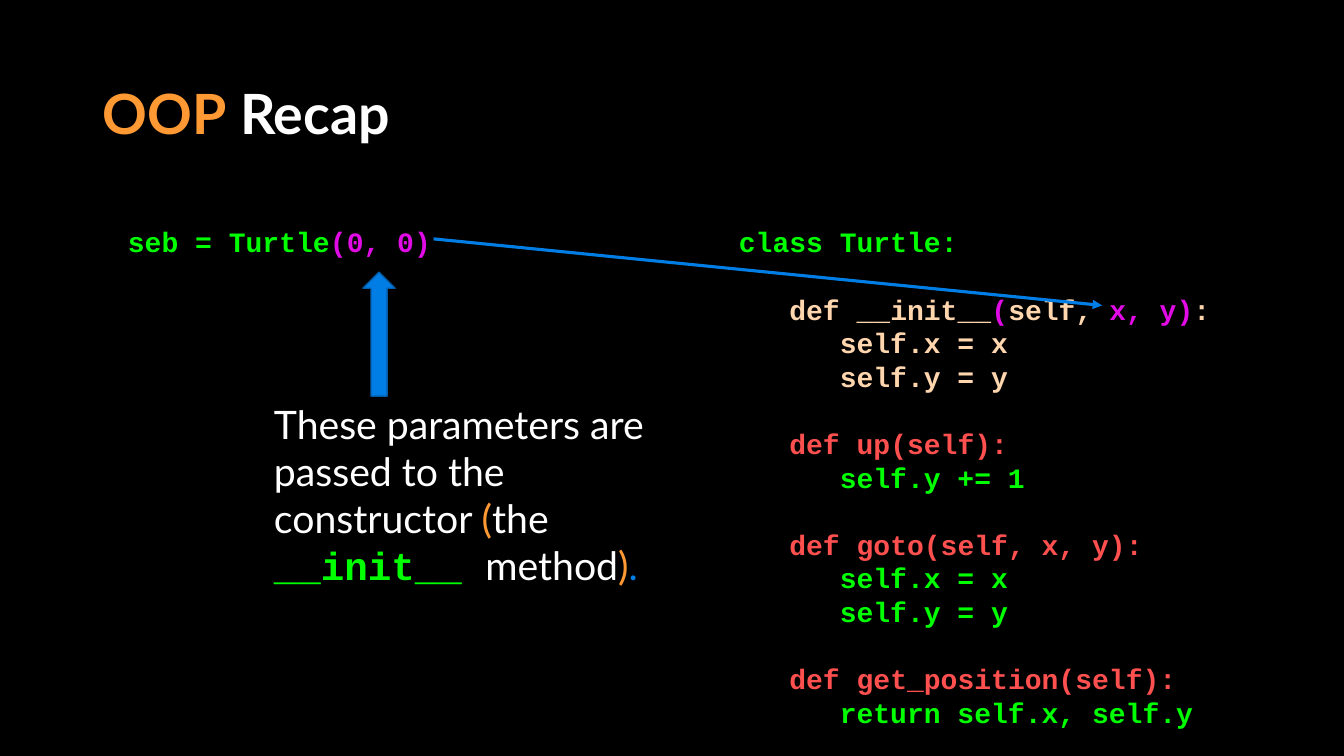
"""Build the OOP recap slide: a constructor call linked to its class definition."""
from dataclasses import dataclass
from typing import Optional

from lxml import etree
from pptx import Presentation, util as u
from pptx.dml.color import RGBColor
from pptx.enum import shapes, text
from pptx.oxml import ns

WIDTH, HEIGHT = u.Inches(13.33), u.Inches(7.5)
BLACK = RGBColor(0x00, 0x00, 0x00)
WHITE = RGBColor(0xFF, 0xFF, 0xFF)
ORANGE = RGBColor(0xFF, 0x99, 0x33)
GREEN = RGBColor(0x00, 0xFF, 0x00)
MAGENTA = RGBColor(0xE0, 0x0B, 0xE5)
PEACH = RGBColor(0xFF, 0xD6, 0xAD)
RED = RGBColor(0xFF, 0x50, 0x50)
BLUE = RGBColor(0x01, 0x7E, 0xE5)
DARK_BLUE = RGBColor(0x01, 0x5D, 0xA9)
PROSE, CODE = "Lato", "Courier New"
CODE_LINE = u.Pt(24)
INDENT = u.Inches(0.5)


@dataclass
class Span:
    """A stretch of text in one colour, with an optional font of its own."""
    words: str
    color: RGBColor
    font: Optional[str] = None
    bold: Optional[bool] = None


@dataclass
class Line:
    """A paragraph with its indent level and the blank lines above it."""
    spans: list[Span]
    level: int = 0
    gap: int = 0


@dataclass
class Block:
    """A text box, placed in percent of the slide's size."""
    left: float
    top: float
    width: float
    height: float
    lines: list[Line]
    size: float
    font: str = PROSE
    bold: bool = False
    spacing: float | u.Length = 1.0
    inset: float = 0.05
    anchor: text.MSO_ANCHOR = text.MSO_ANCHOR.TOP


def across(percent: float) -> u.Emu:
    """Turn a percentage of the slide's width into a length."""
    return u.Emu(round(WIDTH * percent / 100))


def down(percent: float) -> u.Emu:
    """Turn a percentage of the slide's height into a length."""
    return u.Emu(round(HEIGHT * percent / 100))


def add_block(page, block: Block) -> None:
    """Draw one text box."""
    box = page.shapes.add_textbox(across(block.left), down(block.top),
                                  across(block.width), down(block.height))
    frame = box.text_frame
    frame.word_wrap = True
    frame.vertical_anchor = block.anchor
    frame.margin_top = u.Inches(block.inset)
    for index, line in enumerate(block.lines):
        para = frame.add_paragraph() if index else frame.paragraphs[0]
        para.line_spacing = block.spacing
        para.space_before = CODE_LINE * line.gap
        para.font.size = u.Pt(block.size)
        para.font.name = block.font
        para.font.bold = block.bold
        if line.level:
            para._p.get_or_add_pPr().set("marL", str(INDENT * line.level))
        for span in line.spans:
            run = para.add_run()
            run.text = span.words
            run.font.color.rgb = span.color
            run.font.name = span.font
            run.font.bold = span.bold


def add_up_arrow(page) -> None:
    """Draw the block arrow from the explanation to the call."""
    arrow = page.shapes.add_shape(shapes.MSO_SHAPE.UP_ARROW, across(27), down(36),
                                  across(2.4), down(16.4))
    arrow.shadow.inherit = False
    arrow.fill.solid()
    arrow.fill.fore_color.rgb = BLUE
    arrow.line.color.rgb = DARK_BLUE
    arrow.line.width = u.Pt(1)


def add_link(page) -> None:
    """Draw the arrow from the arguments to the parameters."""
    link = page.shapes.add_connector(shapes.MSO_CONNECTOR.STRAIGHT, across(32.26),
                                     down(31.6), across(82), down(40.4))
    link.line.color.rgb = BLUE
    link.line.width = u.Pt(2.25)
    outline = link.line._get_or_add_ln()
    etree.SubElement(outline, ns.qn("a:tailEnd"), type="triangle")
    etree.SubElement(link._element.spPr, ns.qn("a:effectLst"))


def code(words: str, color: RGBColor, level: int = 0, gap: int = 0) -> Line:
    """Make a code line of a single colour."""
    return Line([Span(words, color)], level, gap)


TITLE = [Line([Span("OOP", ORANGE), Span(" Recap", WHITE)])]
CALL = [Line([Span("seb = Turtle", GREEN), Span("(0, 0)", MAGENTA)])]
CLASS = [
    code("class Turtle:", GREEN),
    Line([Span("def __init__", PEACH), Span("(", MAGENTA), Span("self, ", PEACH),
          Span("x, y)", MAGENTA), Span(":", PEACH)], 1, 1),
    code("self.x = x", PEACH, 2),
    code("self.y = y", PEACH, 2),
    code("def up(self):", RED, 1, 1),
    code("self.y += 1", GREEN, 2),
    code("def goto(self, x, y):", RED, 1, 1),
    code("self.x = x", GREEN, 2),
    code("self.y = y", GREEN, 2),
    code("def get_position(self):", RED, 1, 1),
    code("return self.x, self.y", GREEN, 2),
]
EXPLANATION = [Line([
    Span("These parameters are passed to the constructor ", WHITE),
    Span("(", ORANGE), Span("the ", WHITE),
    Span("__init__ ", GREEN, CODE, True),
    Span("method", WHITE), Span(")", ORANGE), Span(".", BLUE),
])]
BLOCKS = [
    Block(6.9, 10.67, 86.27, 9.6, TITLE, 39.6, bold=True, spacing=0.9,
          anchor=text.MSO_ANCHOR.MIDDLE),
    Block(8.78, 28.67, 36.38, 5.87, CALL, 20, CODE, True, CODE_LINE, 0.08),
    Block(54.24, 28.67, 38.93, 68.67, CLASS, 20, CODE, True, CODE_LINE, 0.08),
    Block(19.65, 52.27, 30.38, 26.53, EXPLANATION, 28),
]


def main() -> None:
    """Build and save the deck."""
    deck = Presentation()
    deck.slide_width, deck.slide_height = WIDTH, HEIGHT
    page = deck.slides.add_slide(deck.slide_layouts[6])
    page.background.fill.solid()
    page.background.fill.fore_color.rgb = BLACK
    for block in BLOCKS:
        add_block(page, block)
    add_up_arrow(page)
    add_link(page)
    deck.save("out.pptx")


main()
